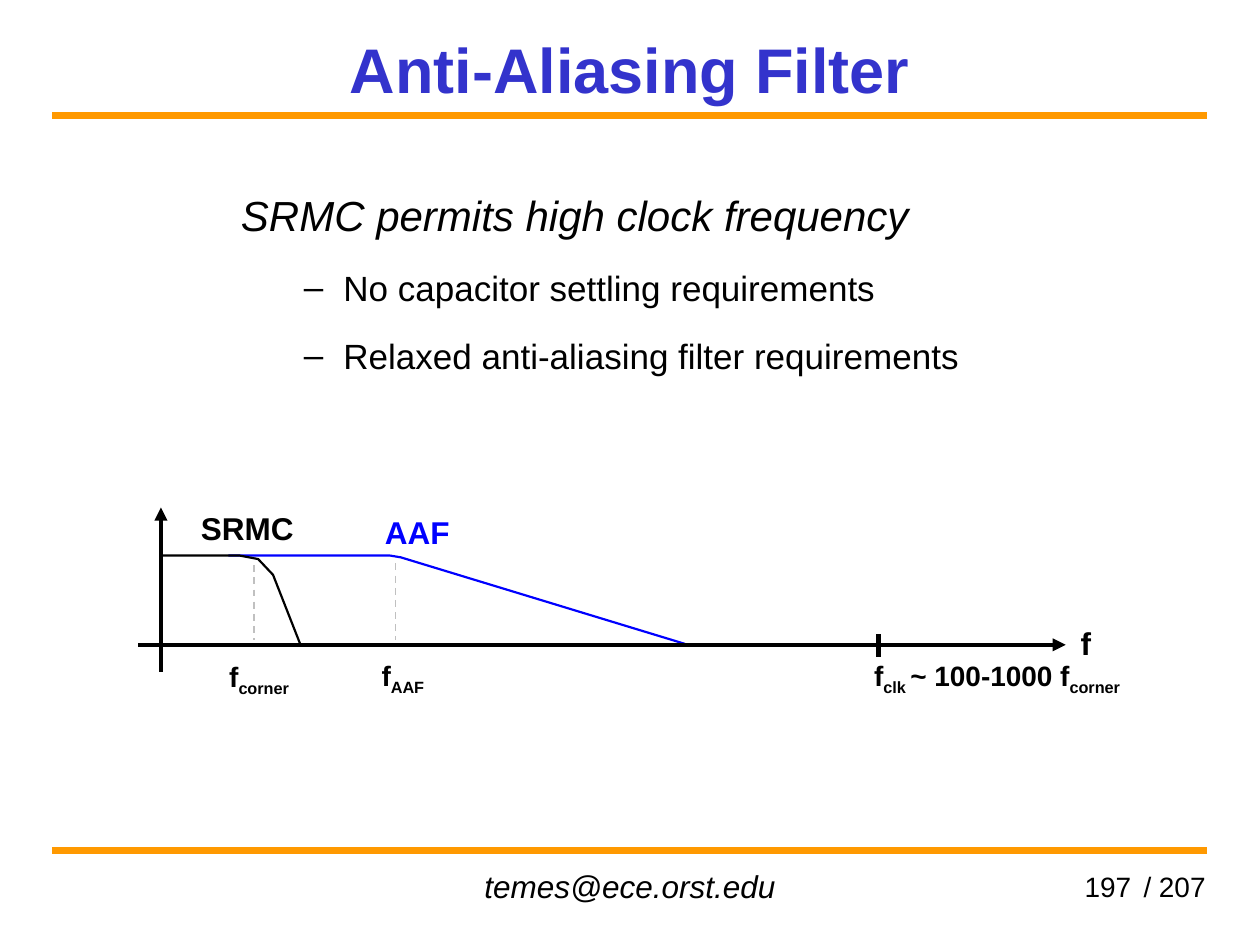
from lxml.etree import SubElement
from pptx import Presentation
from pptx.dml.color import RGBColor
from pptx.enum.dml import MSO_LINE
from pptx.enum.shapes import MSO_CONNECTOR
from pptx.enum.text import MSO_ANCHOR, MSO_AUTO_SIZE, PP_ALIGN
from pptx.oxml.ns import qn
from pptx.util import Pt

COLORS = {"title": "3333CC", "rule": "FF9900", "text": "000000",
          "filter": "0000FF", "guide": "C0C0C0"}
SUBSCRIPT = "-25000"


def set_attributes(target, values):
    for name, value in values.items():
        setattr(target, name, value)


def add_run(paragraph, text, size, color="text", baseline=None, **font_values):
    run = paragraph.add_run()
    run.text = text
    set_attributes(run.font, {"name": "Arial", "size": Pt(size), **font_values})
    run.font.color.rgb = RGBColor.from_string(COLORS[color])
    if baseline:
        run.font._element.set("baseline", baseline)


def format_line(line, color, width):
    line.color.rgb = RGBColor.from_string(COLORS[color])
    line.width = Pt(width)


def add_line(shapes, start, end, color, width, dashed=False, arrow=False):
    connector = shapes.add_connector(MSO_CONNECTOR.STRAIGHT,
                                     *map(Pt, (*start, *end)))
    format_line(connector.line, color, width)
    properties = connector._element.spPr
    if dashed:
        connector.line.dash_style = MSO_LINE.DASH
    if arrow:
        SubElement(properties.find(qn("a:ln")), qn("a:tailEnd"), type="triangle")
    SubElement(properties, qn("a:effectLst"))


def add_curve(shapes, points, color):
    """Draw an open, unfilled polyline through the points."""
    scaled = [(Pt(x), Pt(y)) for x, y in points]
    builder = shapes.build_freeform(*scaled[0])
    builder.add_line_segments(scaled[1:], close=False)
    curve = builder.convert_to_shape()
    curve.shadow.inherit = False
    curve.fill.background()
    format_line(curve.line, color, 1.25)


def add_text(shapes, box, alignment, frame_values):
    """Add a text box and return its empty first paragraph."""
    frame = shapes.add_textbox(*map(Pt, box)).text_frame
    set_attributes(frame, {"word_wrap": True, **frame_values})
    paragraph = frame.paragraphs[0]
    paragraph.alignment = alignment
    return paragraph


def move_placeholder(shape, box, anchor):
    left, top, width, height = map(Pt, box)
    set_attributes(shape, {"left": left, "top": top,
                           "width": width, "height": height})
    set_attributes(shape.text_frame, {"auto_size": MSO_AUTO_SIZE.NONE,
                                      "word_wrap": True,
                                      "vertical_anchor": anchor})


def fill_title(slide, box):
    title = slide.shapes.title
    move_placeholder(title, box, MSO_ANCHOR.MIDDLE)
    paragraph = title.text_frame.paragraphs[0]
    paragraph.alignment = PP_ALIGN.CENTER
    add_run(paragraph, "Anti-Aliasing Filter", 36, "title", bold=True)


def fill_body(slide, box):
    body = slide.placeholders[1]
    move_placeholder(body, box, MSO_ANCHOR.TOP)
    items = [("SRMC permits high clock frequency", 0),
             ("No capacitor settling requirements", 1),
             ("Relaxed anti-aliasing filter requirements", 1)]
    frame = body.text_frame
    for index, (text, level) in enumerate(items):
        paragraph = frame.add_paragraph() if index else frame.paragraphs[0]
        properties = paragraph._p.get_or_add_pPr()
        margin, indent = (58.5, -22.5) if level else (27, -27)
        properties.set("marL", str(Pt(margin)))
        properties.set("indent", str(Pt(indent)))
        if level:
            SubElement(properties, qn("a:buChar"), char="–")
        else:
            SubElement(properties, qn("a:buNone"))
        set_attributes(paragraph, {"level": level, "line_spacing": 1.4,
                                   "space_before": Pt(5.5 if index else 0)})
        add_run(paragraph, text, 20 if level else 24, italic=not level)


def add_response_plot(slide, box):
    """Draw both filter responses over the frequency axis."""
    left, top, width, height = box
    shapes = slide.shapes.add_group_shape().shapes
    axis_x, axis_y, passband_y = left + 13, top + 81.5, top + 30.5
    stop_y = axis_y - 0.5

    add_curve(shapes, [(left + 51.5, passband_y), (left + 144, passband_y),
                       (left + 150, passband_y + 1), (left + 312.5, stop_y)],
              "filter")
    add_line(shapes, (axis_x, top + 97), (axis_x, top + 3), "text", 2.5,
             arrow=True)
    add_line(shapes, (left, axis_y), (left + width, axis_y), "text", 2.5,
             arrow=True)
    add_curve(shapes, [(axis_x, passband_y), (left + 58, passband_y),
                       (left + 68.5, passband_y + 2),
                       (left + 77, passband_y + 11), (left + 92.5, stop_y)],
              "text")

    for x, y in ((66, 36), (147, 35)):
        add_line(shapes, (left + x, top + y), (left + x, axis_y - 2.5),
                 "guide", 1, dashed=True)
    add_line(shapes, (left + 423, axis_y - 6), (left + 423, axis_y + 7),
             "text", 2.5)

    corner = ("corner", SUBSCRIPT)
    labels = [
        ((28.5, 0.5, 67.5, 29), 18, "text", [("SRMC", None)]),
        ((133.5, 2.5, 52, 29), 18, "filter", [("AAF", None)]),
        ((531.5, 66, 20, 29), 18, "text", [("f", None)]),
        ((42, 86.5, 54, 26.5), 16, "text", [("f", None), corner]),
        ((130, 85.5, 42.5, 26.5), 16, "text", [("f", None), ("AAF", SUBSCRIPT)]),
        ((409, 86, 163.5, 26.5), 16, "text",
         [("f", None), ("clk ", SUBSCRIPT), ("~ 100-1000 f", None), corner]),
    ]
    for (x, y, label_width, label_height), size, color, runs in labels:
        paragraph = add_text(shapes, (left + x, top + y, label_width, label_height),
                             PP_ALIGN.CENTER,
                             {"word_wrap": False,
                              "auto_size": MSO_AUTO_SIZE.SHAPE_TO_FIT_TEXT})
        for text, baseline in runs:
            add_run(paragraph, text, size, color, baseline, bold=True)


def add_footer(slide, box):
    left, top, width, height = box
    paragraph = add_text(slide.shapes, (left + (width - 252) / 2, top, 252, height),
                         PP_ALIGN.CENTER, {})
    add_run(paragraph, "temes@ece.orst.edu", 18, italic=True)
    for text, right, box_width in (("/ 207", 696, 162), ("197", 653.5, 100)):
        paragraph = add_text(slide.shapes,
                             (right - box_width, top, box_width, height),
                             PP_ALIGN.RIGHT,
                             {"vertical_anchor": MSO_ANCHOR.MIDDLE})
        add_run(paragraph, text, 16)


def main():
    presentation = Presentation()
    presentation.slide_width, presentation.slide_height = Pt(720), Pt(540)
    slide = presentation.slides.add_slide(presentation.slide_layouts[1])
    for y in (66, 486):
        add_line(slide.shapes, (30, y), (690, y), "rule", 4.5)
    add_footer(slide, (30, 492, 660, 29))
    fill_title(slide, (54, 12, 612, 54))
    fill_body(slide, (130.5, 93, 456.5, 131))
    add_response_plot(slide, (79, 287, 530, 113))
    presentation.save("out.pptx")


if __name__ == "__main__":
    main()
